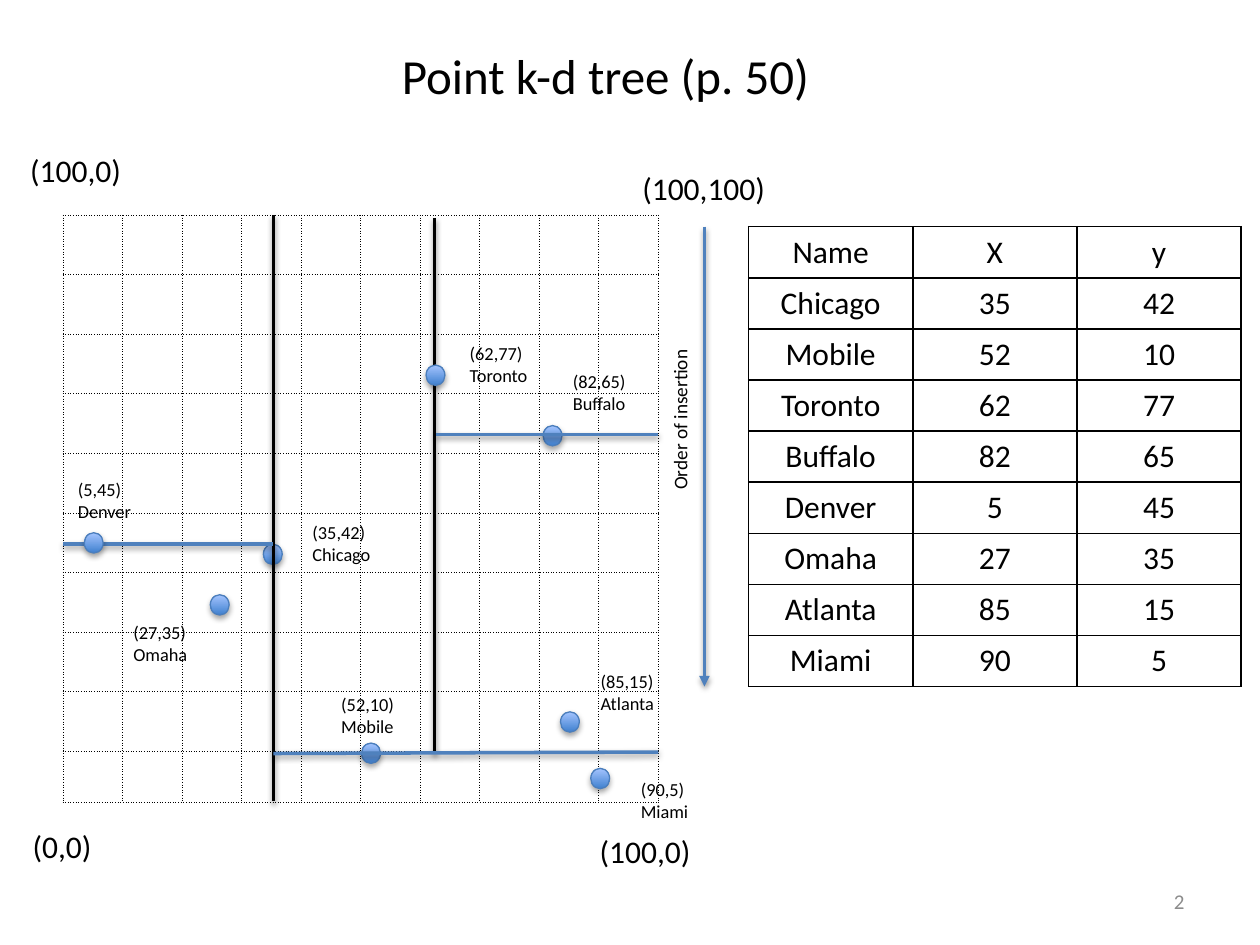
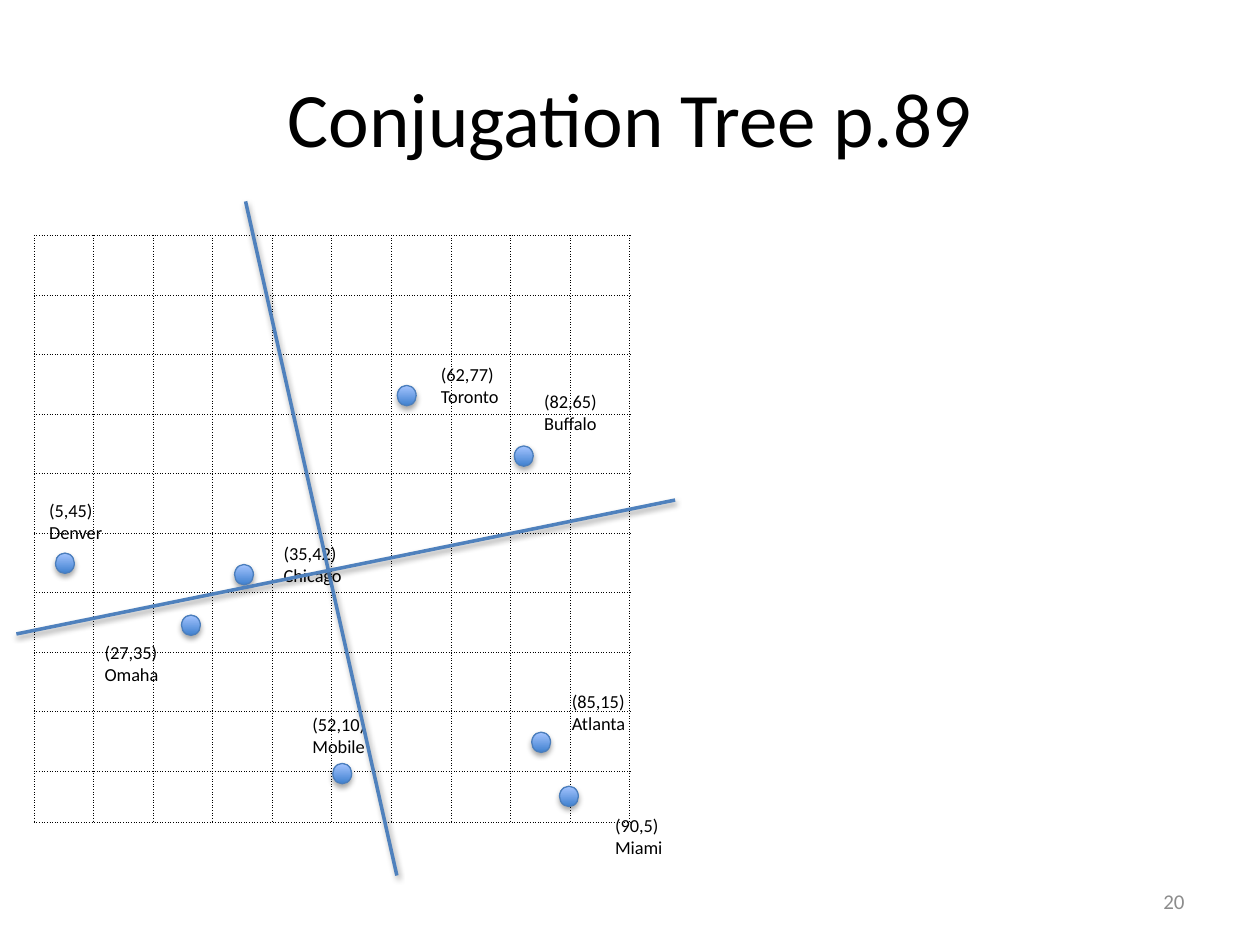
from dataclasses import dataclass, replace

from lxml import etree
from pptx import Presentation
from pptx.dml.color import RGBColor
from pptx.enum.shapes import MSO_CONNECTOR, MSO_SHAPE
from pptx.enum.text import MSO_ANCHOR, PP_ALIGN
from pptx.oxml import parse_xml
from pptx.oxml.ns import nsdecls, qn
from pptx.util import Cm, Pt

LEFT, CENTER, RIGHT = PP_ALIGN.LEFT, PP_ALIGN.CENTER, PP_ALIGN.RIGHT
TOP, MIDDLE = MSO_ANCHOR.TOP, MSO_ANCHOR.MIDDLE
STRAIGHT, OVAL = MSO_CONNECTOR.STRAIGHT, MSO_SHAPE.OVAL

FONT = "Calibri"
BLACK, GREY, BLUE = "000000", "8C8C8C", "4F81BD"
DOT_DARK, DOT_LIGHT, DOT_EDGE = "3F80CE", "A4C4FF", "4B7EBC"

GRID_CELLS = 10
GRID_PITCH = 1.2
ROW_HEIGHT = 1.03
DOT_WIDTH, DOT_HEIGHT = 0.38, 0.41
LABEL_HEIGHT = 1.14


@dataclass(frozen=True)
class Box:
    left: float
    top: float
    width: float
    height: float

    def lengths(self):
        return Cm(self.left), Cm(self.top), Cm(self.width), Cm(self.height)


@dataclass(frozen=True)
class City:
    """A data point; dot and label offsets are in cm from the grid's corner."""
    name: str
    x: int
    y: int
    dot: tuple[float, float]
    label: tuple[float, float]
    label_width: float


@dataclass(frozen=True)
class Line:
    start: tuple[float, float]
    end: tuple[float, float]
    color: str = BLUE
    arrow: bool = False


@dataclass(frozen=True)
class Caption:
    text: str
    box: Box
    size: float = 18
    rotation: int = 0


CITIES = [
    City("Chicago", 35, 42, (4.04, 6.63), (4.78, 6.05), 1.75),
    City("Mobile", 52, 10, (6.02, 10.64), (5.36, 9.5), 1.6),
    City("Toronto", 62, 77, (7.32, 3.02), (7.95, 2.44), 1.73),
    City("Buffalo", 82, 65, (9.68, 4.24), (10.03, 3), 1.6),
    City("Denver", 5, 45, (0.43, 6.4), (0.05, 5.18), 1.63),
    City("Omaha", 27, 35, (2.97, 7.65), (1.17, 8.05), 1.63),
    City("Atlanta", 85, 15, (10.03, 10.01), (10.59, 9.04), 1.63),
    City("Miami", 90, 5, (10.64, 11.15), (11.4, 11.23), 1.47),
]
BEHIND_SPLITS = {"Chicago", "Mobile", "Buffalo"}

KD_ORIGIN = (1.27, 4.34)
KD_SPLITS = [
    Line((5.51, 4.34), (5.51, 16.15), BLACK),
    Line((8.76, 4.39), (8.76, 15.19), BLACK),
    Line((1.27, 10.97), (5.51, 10.97)),
    Line((5.51, 15.19), (13.27, 15.16)),
    Line((8.79, 8.76), (13.27, 8.76)),
]
INSERTION_ARROW = Line((14.2, 4.57), (14.2, 13.84), arrow=True)
KD_CAPTIONS = [
    Caption("(0,0)", Box(0.41, 16.54, 1.7, 1.02)),
    Caption("(100,0)", Box(11.84, 16.64, 2.36, 1.02)),
    Caption("(100,0)", Box(0.36, 2.92, 2.36, 1.02)),
    Caption("(100,100)", Box(12.7, 3.28, 3.02, 1.02)),
    Caption("Order of insertion", Box(12.04, 8.08, 3.35, 0.74), 11, 270),
]

CONJUGATION_ORIGIN = (0.69, 4.75)
CONJUGATION_LINES = [
    Line((4.95, 4.06), (8, 17.65)),
    Line((0.33, 12.78), (13.61, 10.08)),
]


def rgb(value: str) -> RGBColor:
    return RGBColor.from_string(value)


def add_shadow(shape, distance: int, opacity: int) -> None:
    shape._element.spPr.append(parse_xml(
        f'<a:effectLst {nsdecls("a")}><a:outerShdw blurRad="40000" dist="{distance}" '
        f'dir="5400000" rotWithShape="0"><a:srgbClr val="{BLACK}">'
        f'<a:alpha val="{opacity}000"/></a:srgbClr></a:outerShdw></a:effectLst>'))


def format_text(tf, size: float, color: str = BLACK, align=LEFT) -> None:
    for p in tf.paragraphs:
        p.alignment = align
        for r in p.runs:
            r.font.name = FONT
            r.font.size = Pt(size)
            r.font.color.rgb = rgb(color)


def add_text(shapes, text: str, box: Box, size: float, color: str = BLACK,
             align=LEFT, anchor=TOP, wrap: bool = False):
    s = shapes.add_textbox(*box.lengths())
    tf = s.text_frame
    tf.text = text
    tf.word_wrap = wrap
    tf.vertical_anchor = anchor
    format_text(tf, size, color, align)
    return s


def add_line(shapes, line: Line) -> None:
    s = shapes.add_connector(STRAIGHT, *(Cm(v) for v in line.start + line.end))
    s.line.color.rgb = rgb(line.color)
    s.line.width = Pt(2)
    if line.arrow:
        etree.SubElement(s.line._get_or_add_ln(), qn("a:tailEnd"), type="triangle")
    add_shadow(s, 20000, 38)


def add_city(shapes, city: City, origin: tuple[float, float]) -> None:
    group = shapes.add_group_shape().shapes
    left, top = origin
    dot = Box(left + city.dot[0], top + city.dot[1], DOT_WIDTH, DOT_HEIGHT)
    s = group.add_shape(OVAL, *dot.lengths())
    s.fill.gradient()
    s.fill.gradient_angle = 90
    for stop, color in zip(s.fill.gradient_stops, (DOT_DARK, DOT_LIGHT)):
        stop.color.rgb = rgb(color)
        stop.position = float(color == DOT_LIGHT)
    s.line.color.rgb = rgb(DOT_EDGE)
    s.line.width = Pt(0.75)
    add_shadow(s, 23000, 35)
    label = Box(left + city.label[0], top + city.label[1], city.label_width, LABEL_HEIGHT)
    add_text(group, f"({city.x},{city.y})\n{city.name}", label, 10.5)


def set_borders(cell, width: float, dash: str) -> None:
    tc_pr = cell._tc.get_or_add_tcPr()
    for i, side in enumerate(("lnL", "lnR", "lnT", "lnB")):
        tc_pr.insert(i, parse_xml(
            f'<a:{side} {nsdecls("a")} w="{Pt(width)}"><a:solidFill>'
            f'<a:srgbClr val="{BLACK}"/></a:solidFill><a:prstDash val="{dash}"/></a:{side}>'))


def add_plain_table(shapes, left: float, top: float, widths: list[float],
                    heights: list[float], border: float, dash: str = "solid"):
    """Add an unfilled table whose cells all have the same border."""
    box = Box(left, top, sum(widths), sum(heights))
    table = shapes.add_table(len(heights), len(widths), *box.lengths()).table
    table.first_row = table.horz_banding = False
    for column, width in zip(table.columns, widths):
        column.width = Cm(width)
    for row, height in zip(table.rows, heights):
        row.height = Cm(height)
    for cell in table.iter_cells():
        cell.fill.background()
        set_borders(cell, border, dash)
    return table


def add_grid(shapes, origin: tuple[float, float]) -> None:
    widths = [GRID_PITCH] * GRID_CELLS
    heights = [GRID_PITCH] * (GRID_CELLS - 1) + [ROW_HEIGHT]
    add_plain_table(shapes, *origin, widths, heights, 0.5, "sysDot")


def add_city_table(shapes) -> None:
    rows = [("Name", "X", "y")] + [(c.name, c.x, c.y) for c in CITIES]
    table = add_plain_table(shapes, 15.09, 4.57, [3.31] * 3, [ROW_HEIGHT] * len(rows), 1)
    for i, row in enumerate(rows):
        for j, value in enumerate(row):
            tf = table.cell(i, j).text_frame
            tf.text = str(value)
            format_text(tf, 18, align=CENTER)


def add_slide(prs, title: str, title_box: Box, title_size: float, number: int):
    shapes = prs.slides.add_slide(prs.slide_layouts[6]).shapes
    add_text(shapes, title, title_box, title_size, align=CENTER, anchor=MIDDLE, wrap=True)
    add_text(shapes, str(number), Box(18.2, 17.65, 5.93, 1.02), 12, GREY, RIGHT, MIDDLE, True)
    return shapes


def build_kd_tree(prs) -> None:
    shapes = add_slide(prs, "Point k-d tree (p. 50)", Box(2.44, 0.43, 19.53, 2.16), 28, 2)
    add_grid(shapes, KD_ORIGIN)
    add_city_table(shapes)
    for city in CITIES:
        if city.name in BEHIND_SPLITS:
            add_city(shapes, city, KD_ORIGIN)
    for line in KD_SPLITS + [INSERTION_ARROW]:
        add_line(shapes, line)
    for city in CITIES:
        if city.name not in BEHIND_SPLITS:
            add_city(shapes, city, KD_ORIGIN)
    for caption in KD_CAPTIONS:
        s = add_text(shapes, caption.text, caption.box, caption.size)
        s.rotation = caption.rotation


def build_conjugation_tree(prs) -> None:
    shapes = add_slide(prs, "Conjugation Tree p.89", Box(1.27, 0.76, 22.86, 3.18), 44, 20)
    add_grid(shapes, CONJUGATION_ORIGIN)
    *others, miami = CITIES
    for city in others + [replace(miami, dot=(10.59, 11.1), label=(11.46, 11.53))]:
        add_city(shapes, city, CONJUGATION_ORIGIN)
    for line in CONJUGATION_LINES:
        add_line(shapes, line)


def main() -> None:
    prs = Presentation()
    prs.slide_width, prs.slide_height = Cm(25.4), Cm(19.05)
    build_kd_tree(prs)
    build_conjugation_tree(prs)
    prs.save("out.pptx")


if __name__ == "__main__":
    main()
